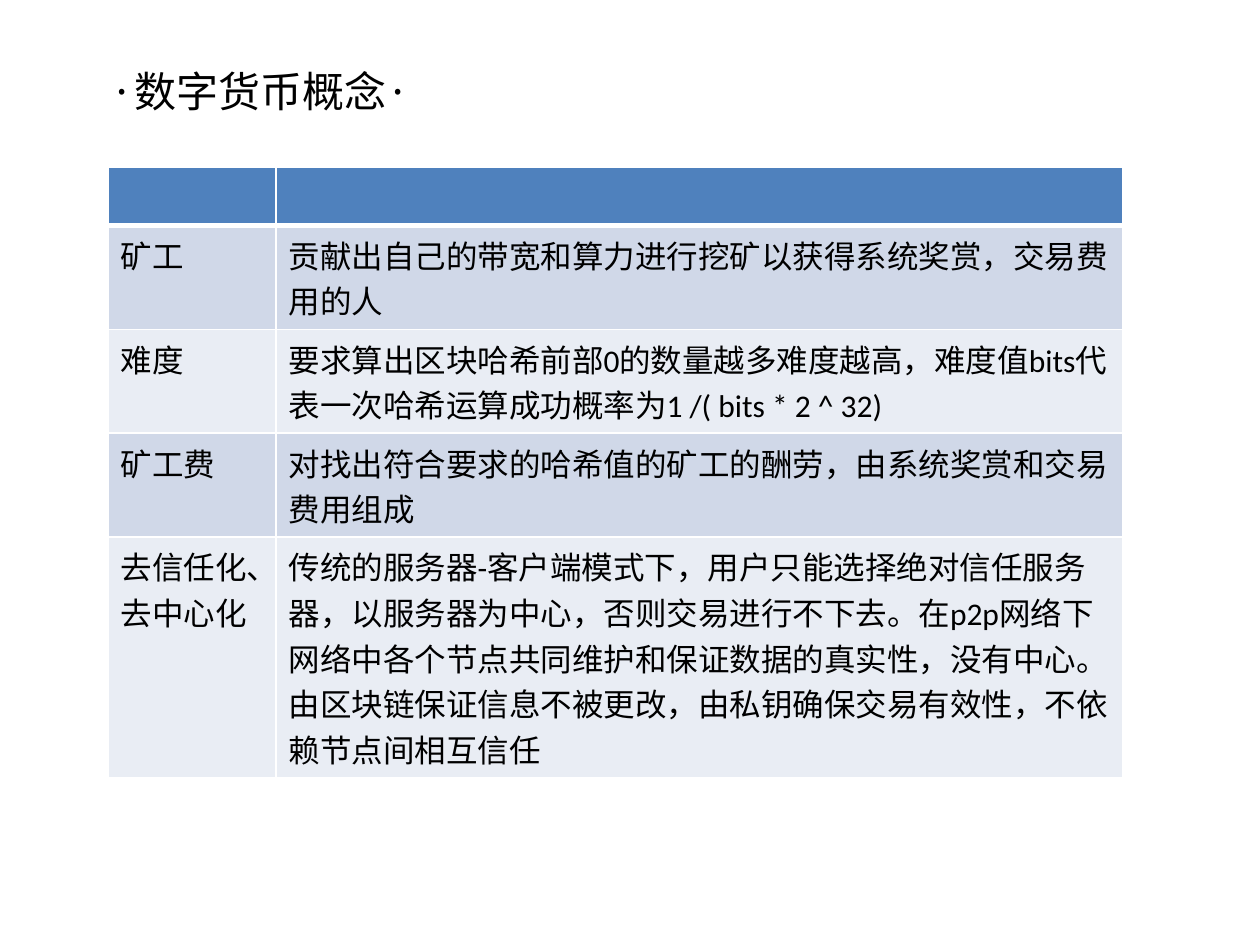
"""Build a slide with a table of digital currency concepts."""
from dataclasses import dataclass

from lxml import etree
from pptx import Presentation
from pptx.dml.color import RGBColor
from pptx.enum.text import MSO_ANCHOR, MSO_AUTO_SIZE, PP_ALIGN
from pptx.oxml.ns import qn
from pptx.util import Inches, Pt

LEFT = PP_ALIGN.LEFT
MIDDLE = MSO_ANCHOR.MIDDLE
NO_FIT = MSO_AUTO_SIZE.NONE
CJK = "Noto Sans CJK JP"
COLORS = {
    "header": "4F81BD",
    "odd": "D0D8E8",
    "even": "E9EDF4",
    "border": "FFFFFF",
    "text": "000000",
}
COLUMN_WIDTHS = (1.33, 6.72)


@dataclass(frozen=True)
class Concept:
    term: str
    meaning: str
    height: float = 0.69


CONCEPTS = (
    Concept("矿工", "贡献出自己的带宽和算力进行挖矿以获得系统奖赏，交易费用的人", 0.72),
    Concept("难度", "要求算出区块哈希前部0的数量越多难度越高，难度值bits"
                  "代表一次哈希运算成功概率为1 /( bits * 2 ^ 32)"),
    Concept("矿工费", "对找出符合要求的哈希值的矿工的酬劳，由系统奖赏和交易费用组成"),
    Concept("去信任化、去中心化",
            "传统的服务器-客户端模式下，用户只能选择绝对信任服务器，以服务器为中心，"
            "否则交易进行不下去。在p2p网络下网络中各个节点共同维护和保证数据的真实性，"
            "没有中心。由区块链保证信息不被更改，由私钥确保交易有效性，不依赖节点间相互信任"),
)


def write(tf, text: str, *, size: float = 18, font: str = "Calibri") -> None:
    p = tf.paragraphs[0]
    p.alignment = LEFT
    r = p.add_run()
    r.text = text
    r.font.size = Pt(size)
    r.font.name = font
    r.font.bold = False
    r.font.color.rgb = RGBColor.from_string(COLORS["text"])
    ea = etree.SubElement(r.font._element, qn("a:ea"))
    ea.set("typeface", CJK)


def style_cell(cell, fill: str, top: float = 1, bottom: float = 1) -> None:
    cell.fill.solid()
    cell.fill.fore_color.rgb = RGBColor.from_string(COLORS[fill])
    tc_pr = cell._tc.get_or_add_tcPr()
    widths = {"lnL": 1, "lnR": 1, "lnT": top, "lnB": bottom}
    for i, (side, width) in enumerate(widths.items()):
        ln = etree.Element(qn(f"a:{side}"), w=str(Pt(width)))
        solid = etree.SubElement(ln, qn("a:solidFill"))
        etree.SubElement(solid, qn("a:srgbClr"), val=COLORS["border"])
        tc_pr.insert(i, ln)


def add_title(s, text: str) -> None:
    sp = s.shapes.title
    sp.left, sp.top = Inches(0.78), Inches(0.47)
    sp.width, sp.height = Inches(5.31), Inches(0.5)
    tf = sp.text_frame
    tf.word_wrap = True
    tf.auto_size = NO_FIT
    tf.vertical_anchor = MIDDLE
    write(tf, text, size=24, font=CJK)


def add_concepts(s, concepts: tuple[Concept, ...]) -> None:
    table = s.shapes.add_table(
        len(concepts) + 1, len(COLUMN_WIDTHS),
        Inches(0.86), Inches(1.33), Inches(sum(COLUMN_WIDTHS)), Inches(3.25),
    ).table
    for column, width in zip(table.columns, COLUMN_WIDTHS):
        column.width = Inches(width)
    table.rows[0].height = Inches(0.46)
    for cell in table.rows[0].cells:
        style_cell(cell, "header", bottom=3)
    for i, concept in enumerate(concepts, start=1):
        row = table.rows[i]
        row.height = Inches(concept.height)
        for cell, text in zip(row.cells, (concept.term, concept.meaning)):
            style_cell(cell, "odd" if i % 2 else "even", top=3 if i == 1 else 1)
            write(cell.text_frame, text)


def main() -> None:
    prs = Presentation()
    prs.slide_width, prs.slide_height = Inches(10), Inches(7.5)
    s = prs.slides.add_slide(prs.slide_layouts[5])
    add_concepts(s, CONCEPTS)
    add_title(s, "·数字货币概念·")
    prs.save("out.pptx")


if __name__ == "__main__":
    main()
